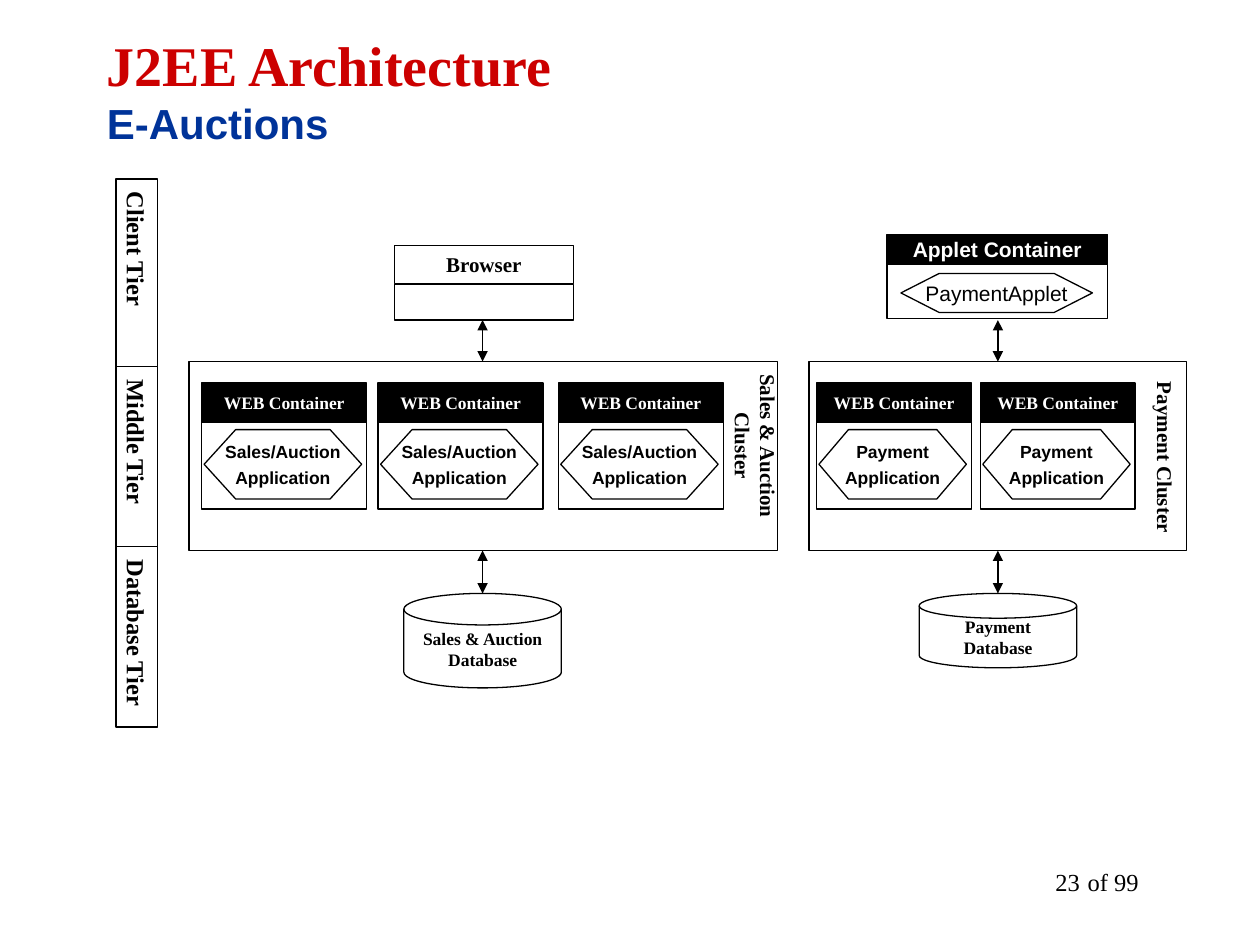
from lxml.etree import SubElement
from pptx import Presentation
from pptx.dml.color import RGBColor
from pptx.enum.shapes import MSO_CONNECTOR, MSO_SHAPE
from pptx.enum.text import MSO_ANCHOR, PP_ALIGN
from pptx.oxml.ns import qn
from pptx.util import Inches, Pt

COLORS = {"black": "000000", "white": "FFFFFF", "red": "CC0000", "blue": "003399"}
SERIF, SANS = "Times New Roman", "Arial"

# Content
TITLE = [("J2EE Architecture", 32, SERIF, "red"), ("E-Auctions", 24, SANS, "blue")]
TIERS = [("Client Tier", 1.49), ("Middle Tier", 1.43), ("Database Tier", 1.43)]
CLUSTERS = [
    {"box": (1.5, 4.67), "label": ("Sales & Auction Cluster", (5.65, 2.87, 0.6, 1.5)),
     "app": ["Sales/Auction", "Application"], "containers": (1.6, 3, 4.43),
     "width": 1.31, "axis": 3.83,
     "database": ("Sales & Auction Database", 0.75)},
    {"box": (6.42, 3), "label": ("Payment Cluster", (9, 2.93, 0.4, 1.42)),
     "app": ["Payment", "Application"], "containers": (6.48, 7.78),
     "width": 1.23, "axis": 7.92,
     "database": ("Payment Database", 0.59)},
]
PAGE = [("23", (7.17, 6.83, 1.5, 0.5), PP_ALIGN.RIGHT),
        ("of 99", (8.42, 6.83, 0.83, 0.5), PP_ALIGN.CENTER)]

# Shared levels of the diagram
CLIENT_BOTTOM, CLUSTER_TOP, CLUSTER_H, DATABASE_TOP = 2.54, 2.87, 1.5, 4.71

prs = Presentation()
prs.slide_width, prs.slide_height = Inches(10), Inches(7.5)
slide = prs.slides.add_slide(prs.slide_layouts[6])


def rgb(name):
    return RGBColor.from_string(COLORS[name])


def set_font(r, size, font="Times New Roman", color="black", bold=True):
    for key, value in {"size": Pt(size), "name": font, "bold": bold}.items():
        setattr(r.font, key, value)
    r.font.color.rgb = rgb(color)


def write(s, lines, size, font=SERIF, color="black", bold=True, wrap=False,
          before=0, vertical=False, align=PP_ALIGN.CENTER, anchor=MSO_ANCHOR.MIDDLE):
    tf = s.text_frame
    side, top = (0.05, 0.1) if vertical else (0.1, 0.05)
    for key, value in {"word_wrap": wrap, "vertical_anchor": anchor,
                       "margin_left": Inches(side), "margin_right": Inches(side),
                       "margin_top": Inches(top), "margin_bottom": Inches(top)}.items():
        setattr(tf, key, value)
    if vertical:
        tf._txBody.bodyPr.set("vert", "eaVert")
    for i, line in enumerate(lines):
        p = tf.add_paragraph() if i else tf.paragraphs[0]
        p.alignment, p.space_before = align, Pt(before)
        r = p.add_run()
        r.text = line
        set_font(r, size, font, color, bold)


def shape(kind, box, fill=None):
    s = slide.shapes.add_shape(kind, *map(Inches, box))
    s.shadow.inherit = False
    if fill:
        s.fill.solid()
        s.fill.fore_color.rgb = rgb(fill)
    else:
        s.fill.background()
    s.line.color.rgb, s.line.width = rgb("black"), Pt(0.75)
    return s


def textbox(box):
    return slide.shapes.add_textbox(*map(Inches, box))


def double_arrow(x, top, bottom):
    c = slide.shapes.add_connector(MSO_CONNECTOR.STRAIGHT, *map(Inches, (x, top, x, bottom)))
    c.line.color.rgb, c.line.width = rgb("black"), Pt(0.75)
    ln = c.line._get_or_add_ln()
    for end in ("a:headEnd", "a:tailEnd"):
        SubElement(ln, qn(end), type="triangle")
    SubElement(c._element.spPr, qn("a:effectLst"))


# Page number and title
for text, box, align in PAGE:
    write(textbox(box), [text], 14, bold=False, wrap=True, align=align, anchor=MSO_ANCHOR.TOP)

title = textbox((0.75, 0.08, 8.5, 1.25))
write(title, [], 32, wrap=True)
p = title.text_frame.paragraphs[0]
for i, (text, *style) in enumerate(TITLE):
    if i:
        p.add_line_break()
    r = p.add_run()
    r.text = text
    set_font(r, *style)

# Tier column
top = 1.42
for text, height in TIERS:
    write(shape(MSO_SHAPE.RECTANGLE, (0.92, top, 0.33, height)), [text], 14, vertical=True)
    top += height

# Clients
write(shape(MSO_SHAPE.RECTANGLE, (3.13, 1.95, 1.42, 0.3)), ["Browser"], 12, wrap=True)
shape(MSO_SHAPE.RECTANGLE, (3.13, 2.26, 1.42, 0.28))
write(shape(MSO_SHAPE.RECTANGLE, (7.04, 1.86, 1.75, 0.24), "black"),
      ["Applet Container"], 12, SANS, "white", before=3)
shape(MSO_SHAPE.RECTANGLE, (7.04, 2.1, 1.75, 0.43), "white")
write(shape(MSO_SHAPE.FLOWCHART_PREPARATION, (7.15, 2.17, 1.52, 0.31), "white"),
      ["PaymentApplet"], 12, SANS, bold=False, before=3)

# Clusters with their containers, databases and arrows
for cluster in CLUSTERS:
    left, width = cluster["box"]
    shape(MSO_SHAPE.RECTANGLE, (left, CLUSTER_TOP, width, CLUSTER_H))
    label, box = cluster["label"]
    write(textbox(box), [label], 12, wrap=True, vertical=True, anchor=MSO_ANCHOR.TOP)

    w = cluster["width"]
    for x in cluster["containers"]:
        write(shape(MSO_SHAPE.RECTANGLE, (x, 3.04, w, 0.31), "black"),
              ["WEB Container"], 10, color="white")
        shape(MSO_SHAPE.RECTANGLE, (x, 3.35, w, 0.69))
        write(shape(MSO_SHAPE.FLOWCHART_PREPARATION, (x + 0.02, 3.41, w - 0.06, 0.55), "white"),
              cluster["app"], 10, SANS, before=2.5)

    axis = cluster["axis"]
    name, height = cluster["database"]
    write(shape(MSO_SHAPE.FLOWCHART_MAGNETIC_DISK, (axis - 0.625, DATABASE_TOP, 1.25, height)),
          [name], 10, wrap=True)
    double_arrow(axis, CLIENT_BOTTOM, CLUSTER_TOP)
    double_arrow(axis, CLUSTER_TOP + CLUSTER_H, DATABASE_TOP)

prs.save("out.pptx")
